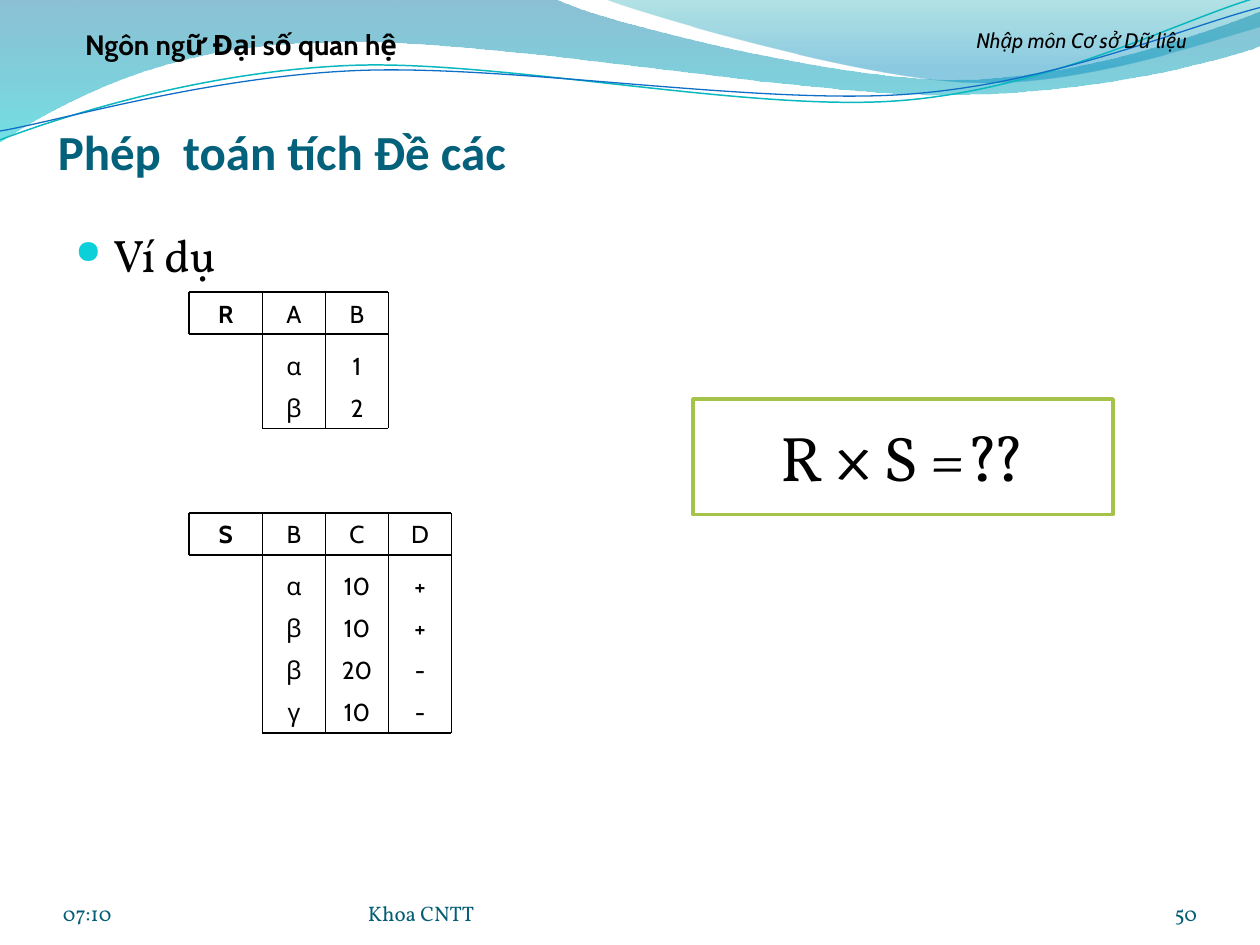
from math import cos, radians, sin

from lxml.etree import SubElement
from pptx import Presentation
from pptx.dml.color import RGBColor
from pptx.enum.shapes import MSO_CONNECTOR, MSO_SHAPE
from pptx.enum.text import MSO_ANCHOR, MSO_AUTO_SIZE, PP_ALIGN
from pptx.oxml.ns import qn
from pptx.util import Inches, Pt

BLACK = RGBColor(0x00, 0x00, 0x00)
WHITE = RGBColor(0xFF, 0xFF, 0xFF)
TITLE_BLUE = RGBColor(0x04, 0x61, 0x7B)
FOOTER_BLUE = RGBColor(0x04, 0x5D, 0x75)
BULLET_CYAN = RGBColor(0x0B, 0xD0, 0xD9)
FRAME_GREEN = RGBColor(0xA5, 0xC2, 0x49)
WAVE_TEAL = RGBColor(0x0A, 0xB8, 0xBF)
WAVE_BLUE = RGBColor(0x0F, 0x6F, 0xC6)

# An outline is a list of steps, each a list of points:
# one point for the start or a straight step, three for a Bezier step.
# Gradient stops run top to bottom: position, colour, opacity in percent.
BANDS = [
    ([[(0, -0.01)], [(4.4, -0.01)], [(4.76, 0.17), (6.64, 0.63), (7.58, 0.63)],
      [(8.53, 0.63), (9.58, 0.26), (10, 0.09)], [(10.01, 0.36)],
      [(9.83, 0.44), (8.7, 0.76), (7.46, 0.75)],
      [(6.22, 0.75), (3.82, 0.28), (2.57, 0.34)],
      [(1.29, 0.35), (0.46, 0.83), (-0.01, 1.13)], [(0, -0.01)]],
     [(0, RGBColor(0x00, 0x74, 0xA1), 45), (1, RGBColor(0x00, 0xC6, 0xCF), 55)]),
    ([[(4.79, -0.01)], [(5.09, 0.11), (6.82, 0.62), (7.69, 0.65)],
      [(8.56, 0.69), (9.61, 0.32), (10, 0.21)], [(10, 0)], [(4.79, -0.01)]],
     [(0, RGBColor(0x00, 0xA1, 0xA9), 30), (0.8, RGBColor(0x00, 0x8B, 0xBF), 45)]),
]
WAVES = [
    ([[(0, 1.11)], [(0.48, 0.93), (1.58, 0.57), (2.77, 0.52)],
      [(3.95, 0.47), (5.93, 0.89), (7.13, 0.8)],
      [(8.33, 0.71), (9.38, 0.15), (9.98, -0.02)]], WAVE_TEAL, 0.85),
    ([[(0, 1.04)], [(0.47, 0.96), (1.64, 0.61), (2.83, 0.56)],
      [(4.03, 0.51), (5.97, 0.83), (7.17, 0.75)],
      [(8.36, 0.67), (9.41, 0.21), (10, 0.06)]], WAVE_BLUE, 0.75),
]
WAVE_TILT = -2.7
WAVE_CENTER = (4.99, 0.58)

RELATIONS = [
    ("R", 2.32, ["A", "B"], [["α", "1"], ["β", "2"]]),
    ("S", 4.07, ["B", "C", "D"],
     [["α", "10", "+"], ["β", "10", "+"], ["β", "20", "-"], ["γ", "10", "-"]]),
]
NAME_LEFT, NAME_WIDTH = 1.5, 7 / 12
GRID_LEFT = NAME_LEFT + NAME_WIDTH
COLUMN, ROW, HEADER_GAP = 0.5, 1 / 3, 0.08

FOOTER = {"name": "Vollkorn", "size": Pt(12), "color": FOOTER_BLUE}
CELL = {"name": "Cabin", "size": Pt(14)}
FLUSH = (0, 0, 0, 0)
GROW = {"auto_size": MSO_AUTO_SIZE.SHAPE_TO_FIT_TEXT}
BOTTOM = {"vertical_anchor": MSO_ANCHOR.BOTTOM}

# text, place, font, alignment, frame settings, insets
TITLE = ("Phép  toán tích Đề các", (0.46, 0.75, 9, 0.68),
         {"name": "Calibri", "size": Pt(28), "bold": True, "color": TITLE_BLUE},
         PP_ALIGN.LEFT, BOTTOM, (0, 0.05, 0, 0))
BODY = ("Ví dụ", (0.5, 1.75, 9, 5.29), {"name": "Vollkorn", "size": Pt(26)},
        PP_ALIGN.LEFT, {})
MARGIN_TEXTS = [
    ("07:10", (0.5, 6.95, 2.33, 0.4), FOOTER, PP_ALIGN.LEFT, BOTTOM, FLUSH),
    ("Khoa CNTT", (2.92, 6.95, 3.67, 0.4), FOOTER, PP_ALIGN.LEFT, BOTTOM, FLUSH),
    ("50", (8.67, 6.95, 0.83, 0.4), FOOTER, PP_ALIGN.RIGHT, BOTTOM, FLUSH),
    ("Nhập môn Cơ sở Dữ liệu", (7.17, 0.17, 2.83, 0.38),
     {"name": "Cabin", "size": Pt(12), "italic": True}, PP_ALIGN.CENTER, GROW),
    ("Ngôn ngữ Đại số quan hệ", (0.25, 0.17, 3.33, 0.37),
     {"name": "Cabin", "size": Pt(16), "bold": True}, PP_ALIGN.CENTER, GROW),
]
QUESTION = [("R", False), (" ×", True), (" S =??", False)]
QUESTION_PLACE = (5.5, 19 / 6, 10 / 3, 11 / 12)
QUESTION_FONT = {"name": "Vollkorn", "size": Pt(36)}


def set_font(font, values):
    font.color.rgb = values.get("color", BLACK)
    for key, value in values.items():
        if key != "color":
            setattr(font, key, value)


def add_text(page, text, place, font, align, frame_values, insets=None):
    box = page.shapes.add_textbox(*map(Inches, place))
    frame = box.text_frame
    frame.word_wrap = True
    for key, value in frame_values.items():
        setattr(frame, key, value)
    if insets:
        for side, inset in zip(("left", "top", "right", "bottom"), insets):
            setattr(frame, "margin_" + side, Inches(inset))
    para = frame.paragraphs[0]
    para.alignment = align
    span = para.add_run()
    span.text = text
    set_font(span.font, font)
    return para


def add_bullet(para):
    properties = para._p.get_or_add_pPr()
    properties.set("marL", str(Inches(0.3)))
    properties.set("indent", str(-Inches(0.3)))
    color = SubElement(properties, qn("a:buClr"))
    SubElement(color, qn("a:srgbClr"), val=str(BULLET_CYAN))
    SubElement(properties, qn("a:buSzPct"), val="72000")
    SubElement(properties, qn("a:buChar"), char="●")


def add_rule(page, x1, y1, x2, y2):
    rule = page.shapes.add_connector(MSO_CONNECTOR.STRAIGHT, *map(Inches, (x1, y1, x2, y2)))
    rule.line.color.rgb = BLACK
    rule.line.width = Pt(1)
    SubElement(rule._element.spPr, qn("a:effectLst"))


def turn(point, center, degrees):
    angle = radians(degrees)
    dx, dy = point[0] - center[0], point[1] - center[1]
    return (center[0] + dx * cos(angle) - dy * sin(angle),
            center[1] + dx * sin(angle) + dy * cos(angle))


def add_outline(page, steps, close):
    """Build a freeform through the step ends, then bend its three-point steps."""
    steps = [[(Inches(x), Inches(y)) for x, y in step] for step in steps]
    builder = page.shapes.build_freeform(*steps[0][-1])
    builder.add_line_segments([step[-1] for step in steps[1:]], close=close)
    outline = builder.convert_to_shape()
    outline.shadow.inherit = False
    segments = list(outline._element.iter(qn("a:lnTo")))
    for segment, step in zip(segments, steps[1:]):
        if len(step) == 3:
            curve = segment.makeelement(qn("a:cubicBezTo"))
            for x, y in step:
                SubElement(curve, qn("a:pt"), x=str(x - outline.left), y=str(y - outline.top))
            segment.getparent().replace(segment, curve)
    return outline


def add_band(page, steps, stops):
    band = add_outline(page, steps, True)
    band.line.fill.background()
    band.fill.gradient()
    band.fill.gradient_angle = 270
    for stop, (position, color, opacity) in zip(band.fill.gradient_stops, stops):
        stop.position = position
        stop.color.rgb = color
        SubElement(stop._gs[0], qn("a:alpha"), val=str(opacity * 1000))


def add_wave(page, steps, color, width):
    level = [[turn(point, WAVE_CENTER, -WAVE_TILT) for point in step] for step in steps]
    wave = add_outline(page, level, False)
    wave.rotation = WAVE_TILT
    wave.fill.background()
    wave.line.color.rgb = color
    wave.line.width = Pt(width)


def add_relation(page, name, top, columns, rows):
    right = GRID_LEFT + COLUMN * len(columns)
    rows_top = top + ROW + HEADER_GAP
    bottom = rows_top + ROW * len(rows)
    add_text(page, name, (NAME_LEFT, top, NAME_WIDTH, ROW),
             {**CELL, "bold": True}, PP_ALIGN.CENTER, GROW)
    row_tops = [top] + [rows_top + ROW * i for i in range(len(rows))]
    for y, values in zip(row_tops, [columns] + rows):
        for i, value in enumerate(values):
            add_text(page, value, (GRID_LEFT + COLUMN * i, y, COLUMN, ROW),
                     CELL, PP_ALIGN.CENTER, GROW)
    for left, y in ((NAME_LEFT, top), (NAME_LEFT, top + ROW), (GRID_LEFT, bottom)):
        add_rule(page, left, y, right, y)
    add_rule(page, NAME_LEFT, top, NAME_LEFT, top + ROW)
    for i in range(len(columns) + 1):
        x = GRID_LEFT + COLUMN * i
        add_rule(page, x, top, x, bottom)


def add_question(page):
    box = page.shapes.add_shape(MSO_SHAPE.RECTANGLE, *map(Inches, QUESTION_PLACE))
    box.shadow.inherit = False
    box.fill.solid()
    box.fill.fore_color.rgb = WHITE
    box.line.color.rgb = FRAME_GREEN
    box.line.width = Pt(2)
    box.text_frame.vertical_anchor = MSO_ANCHOR.MIDDLE
    para = box.text_frame.paragraphs[0]
    para.alignment = PP_ALIGN.CENTER
    for text, bold in QUESTION:
        span = para.add_run()
        span.text = text
        set_font(span.font, {**QUESTION_FONT, "bold": bold})


deck = Presentation()
deck.slide_width, deck.slide_height = Inches(10), Inches(7.5)
page = deck.slides.add_slide(deck.slide_layouts[6])
for band in BANDS:
    add_band(page, *band)
for wave in WAVES:
    add_wave(page, *wave)
add_text(page, *TITLE)
add_bullet(add_text(page, *BODY))
for relation in RELATIONS:
    add_relation(page, *relation)
add_question(page)
for text in MARGIN_TEXTS:
    add_text(page, *text)
deck.save("out.pptx")
